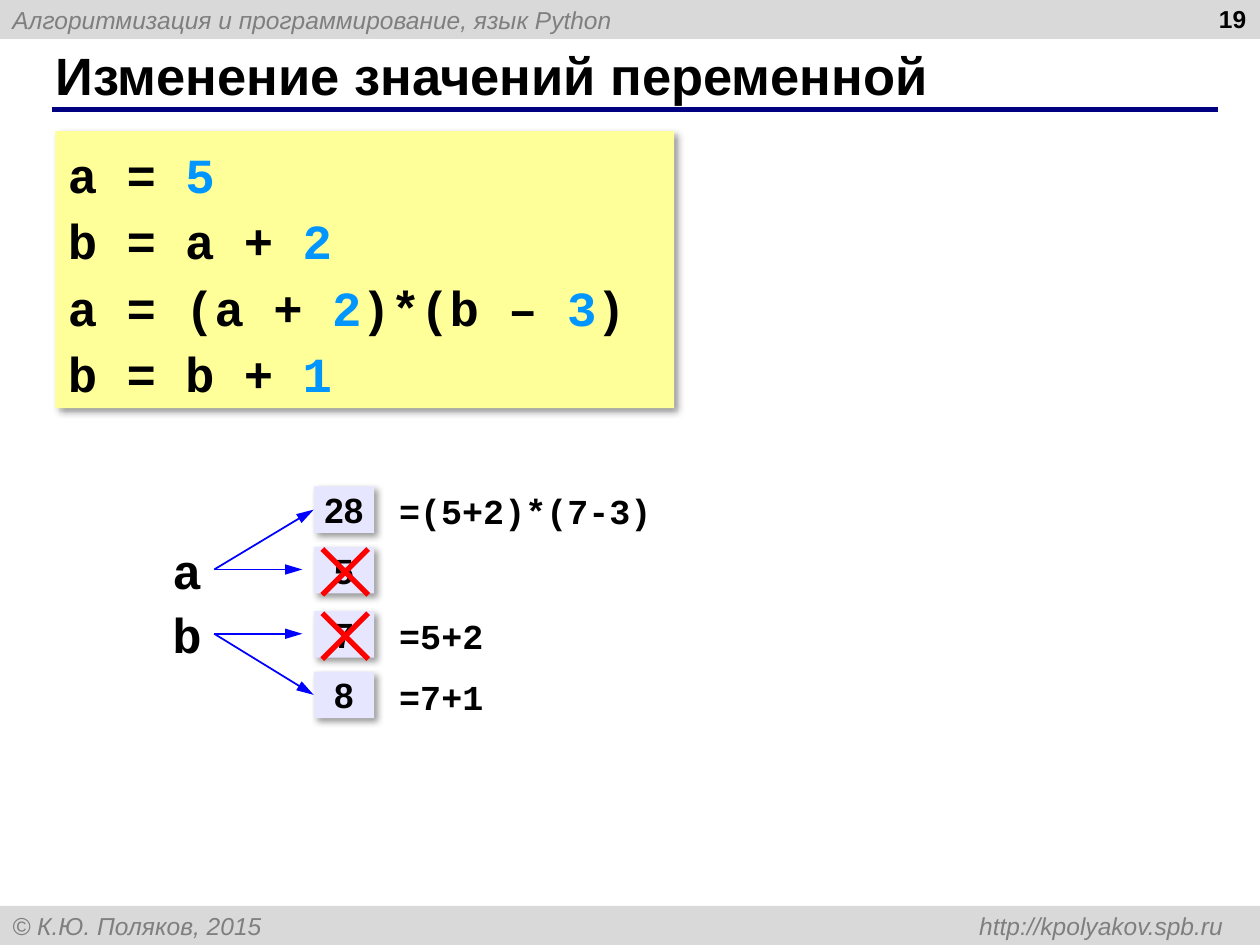
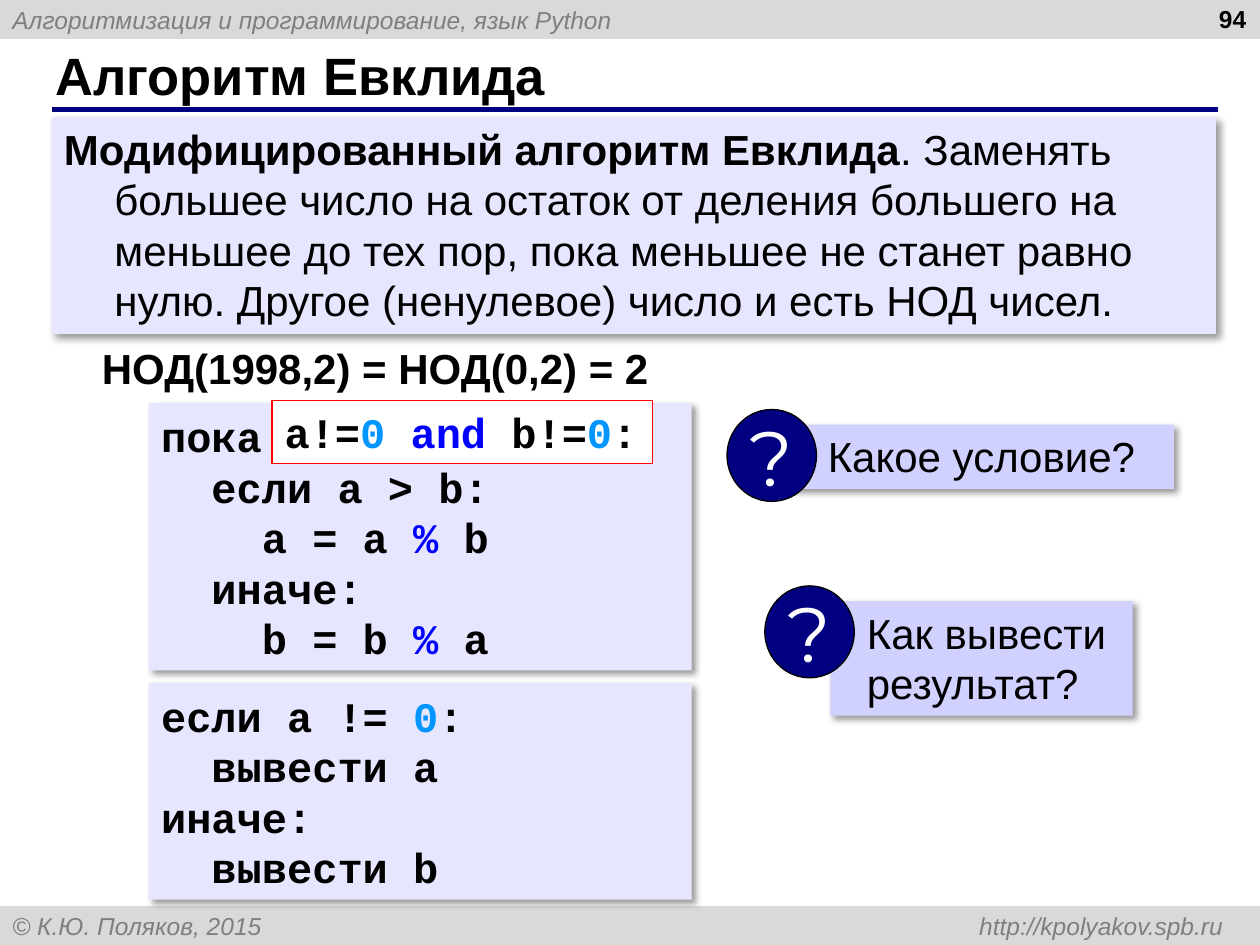
from lxml.etree import SubElement
from pptx import Presentation
from pptx.dml.color import RGBColor
from pptx.enum.shapes import MSO_CONNECTOR, MSO_SHAPE
from pptx.enum.text import MSO_ANCHOR, MSO_AUTO_SIZE, PP_ALIGN
from pptx.oxml.ns import qn
from pptx.util import Pt

PX = 9144
BLACK = RGBColor(0x00, 0x00, 0x00)
WHITE = RGBColor(0xFF, 0xFF, 0xFF)
BAND = RGBColor(0xD9, 0xD9, 0xD9)
GREY = RGBColor(0x7F, 0x7F, 0x7F)
NAVY = RGBColor(0x00, 0x00, 0x80)
BLUE = RGBColor(0x00, 0x00, 0xFF)
NUMBER = RGBColor(0x00, 0x95, 0xFF)
RED = RGBColor(0xFF, 0x00, 0x00)
YELLOW = RGBColor(0xFF, 0xFF, 0x99)
LAVENDER = RGBColor(0xE6, 0xE6, 0xFF)
LILAC = RGBColor(0xD1, 0xD1, 0xFF)
SANS, MONO, ROUND = "Arial", "Courier New", "Montserrat"


def add_box(page, at, fill=None, kind=MSO_SHAPE.RECTANGLE, line=None, shadow=False):
    left, top, width, height = [value * PX for value in at]
    if fill is None:
        return page.shapes.add_textbox(left, top, width, height)
    box = page.shapes.add_shape(kind, left, top, width, height)
    box.fill.solid()
    box.fill.fore_color.rgb = fill
    if line is None:
        box.line.fill.background()
    else:
        box.line.color.rgb = line
        box.line.width = Pt(0.75)
    box.shadow.inherit = False
    if shadow:
        effects = box._element.spPr.find(qn("a:effectLst"))
        outer = SubElement(effects, qn("a:outerShdw"), blurRad=str(Pt(4)), dist=str(Pt(3)),
                           dir="2700000", algn="tl", rotWithShape="0")
        tint = SubElement(outer, qn("a:srgbClr"), val="000000")
        SubElement(tint, qn("a:alpha"), val="40000")
    return box


def write(box, rows, size, face=SANS, bold=True, italic=False, align=PP_ALIGN.LEFT,
          anchor=MSO_ANCHOR.TOP, wrap=True, gap=0, hang=0, tab=0, leading=1.2):
    frame = box.text_frame
    frame.auto_size = MSO_AUTO_SIZE.NONE
    frame.word_wrap = wrap
    frame.vertical_anchor = anchor
    for index, row in enumerate(rows):
        para = frame.paragraphs[0] if index == 0 else frame.add_paragraph()
        properties = para._p.get_or_add_pPr()
        if hang:
            properties.set("marL", str(hang * PX))
            properties.set("indent", str(-hang * PX))
        if tab:
            tabs = SubElement(properties, qn("a:tabLst"))
            SubElement(tabs, qn("a:tab"), pos=str(tab * PX), algn="r")
        para.alignment = align
        if leading:
            para.line_spacing = Pt(round(size * leading, 1))
        if index and gap:
            para.space_before = Pt(gap)
        para.font.name = face
        para.font.size = Pt(size)
        para.font.bold = bold
        para.font.italic = italic
        for text, color in row:
            span = para.add_run()
            span.text = text
            span.font.color.rgb = color


deck = Presentation()
deck.slide_width = 1000 * PX
deck.slide_height = 750 * PX

pages = []
for title, number in [("Изменение значений переменной", "19"), ("Алгоритм Евклида", "94")]:
    page = deck.slides.add_slide(deck.slide_layouts[5])
    pages.append(page)
    heading = page.shapes.title
    heading.left, heading.top, heading.width, heading.height = 34 * PX, 33 * PX, 916 * PX, 52 * PX
    write(heading, [[(title, BLACK)]], 30, anchor=MSO_ANCHOR.MIDDLE)
    for top, text in [(0, "Алгоритмизация и программирование, язык Python"),
                      (719, "© К.Ю. Поляков, 2015\thttp://kpolyakov.spb.ru")]:
        band = add_box(page, (0, top, 1000, 31), BAND)
        write(band, [[(text, GREY)]], 14, bold=False, italic=True,
              anchor=MSO_ANCHOR.MIDDLE, tab=961)
    rule = page.shapes.add_connector(MSO_CONNECTOR.STRAIGHT, 41 * PX, 87 * PX, 967 * PX, 87 * PX)
    rule.line.color.rgb = NAVY
    rule.line.width = Pt(3)
    SubElement(rule._element.spPr, qn("a:effectLst"))
    write(add_box(page, (766, -2, 233, 52)), [[(number, BLACK)]], 14, align=PP_ALIGN.RIGHT)

variables, euclid = pages

program = add_box(variables, (44, 104, 491, 220), YELLOW, shadow=True)
program.text_frame.margin_top = 11 * PX
write(program, [
    [("a = ", BLACK), ("5", NUMBER)],
    [("b = a + ", BLACK), ("2", NUMBER)],
    [("a = (a + ", BLACK), ("2", NUMBER), (")*(b – ", BLACK), ("3", NUMBER), (")", BLACK)],
    [("b = b + ", BLACK), ("1", NUMBER)],
], 28, MONO, gap=4.2)

cells = {}
for value, top, formula, width in [("28", 386, "=(5+2)*(7-3)", 227), ("5", 434, "", 0),
                                   ("7", 485, "=5+2", 95), ("8", 533, "=7+1", 95)]:
    cells[value] = add_box(variables, (249, top, 48, 37), LAVENDER, shadow=True)
    write(cells[value], [[(value, BLACK)]], 20, align=PP_ALIGN.CENTER,
          anchor=MSO_ANCHOR.MIDDLE, wrap=False)
    if formula:
        write(add_box(variables, (307, top + 1, width, 37)), [[(formula, BLACK)]], 20, MONO,
              anchor=MSO_ANCHOR.MIDDLE, wrap=False)

for name, middle, latest in [("a", 452, "28"), ("b", 503, "8")]:
    label = add_box(variables, (127, middle - 28, 43, 56))
    write(label, [[(name, BLACK)]], 28, MONO, wrap=False)
    for target in [None, cells[latest]]:
        arrow = variables.shapes.add_connector(
            MSO_CONNECTOR.STRAIGHT, 170 * PX, middle * PX, 240 * PX, middle * PX)
        arrow.begin_connect(label, 3)
        if target is not None:
            arrow.end_connect(target, 1)
        arrow.line.color.rgb = BLUE
        arrow.line.width = Pt(1)
        SubElement(arrow.line._get_or_add_ln(), qn("a:tailEnd"), type="triangle", w="med", len="lg")
        SubElement(arrow._element.spPr, qn("a:effectLst"))
    cross = add_box(variables, (239, middle - 33, 70, 70), RED, MSO_SHAPE.MATH_PLUS)
    cross.adjustments[0] = 0.06
    cross.rotation = 45

definition = add_box(euclid, (41, 93, 924, 172), LAVENDER, shadow=True)
write(definition, [[
    ("Модифицированный алгоритм Евклида", BLACK),
    (". Заменять большее число на остаток от деления большего на меньшее до тех пор, "
     "пока меньшее не станет равно нулю. Другое (ненулевое) число и есть НОД чисел.", BLACK),
]], 24, bold=False, hang=40)
definition.text_frame.paragraphs[0].runs[0].font.bold = True

write(add_box(euclid, (71, 267, 465, 51)), [[("НОД(1998,2) = НОД(0,2) = 2", BLACK)]], 24, wrap=False)

loop_rows = [
    [("пока", BLACK)],
    [("  если a > b:", BLACK)],
    [("    a = a ", BLACK), ("%", BLUE), (" b", BLACK)],
    [("  иначе:", BLACK)],
    [("    b = b ", BLACK), ("%", BLUE), (" a", BLACK)],
]
output_rows = [
    [("если a != ", BLACK), ("0", NUMBER), (":", BLACK)],
    [("  вывести a", BLACK)],
    [("иначе:", BLACK)],
    [("  вывести b", BLACK)],
]
for top, height, rows in [(320, 212, loop_rows), (542, 172, output_rows)]:
    code = add_box(euclid, (118, top, 431, height), LAVENDER, shadow=True)
    write(code, rows, 24, MONO, anchor=MSO_ANCHOR.MIDDLE)

condition = add_box(euclid, (216, 318, 302, 50), WHITE, line=RED)
write(condition, [[("a!=", BLACK), ("0 ", NUMBER), ("and", BLUE), (" b!=", BLACK),
                   ("0", NUMBER), (":", BLACK)]], 24, MONO, wrap=False)

for at, badge_left, question in [((628, 337, 304, 51), 577, "Какое условие?"),
                                 ((659, 477, 240, 91), 607, "Как вывести результат?")]:
    callout = add_box(euclid, at, LILAC, shadow=True)
    callout.text_frame.margin_left = 29 * PX
    write(callout, [[(question, BLACK)]], 24, bold=False)
    badge = add_box(euclid, (badge_left, at[1] - 12, 71, 73), NAVY, MSO_SHAPE.OVAL, line=BLACK)
    write(badge, [[("?", WHITE)]], 44, ROUND, bold=False, align=PP_ALIGN.CENTER,
          anchor=MSO_ANCHOR.MIDDLE, wrap=False, leading=None)

deck.save("out.pptx")
